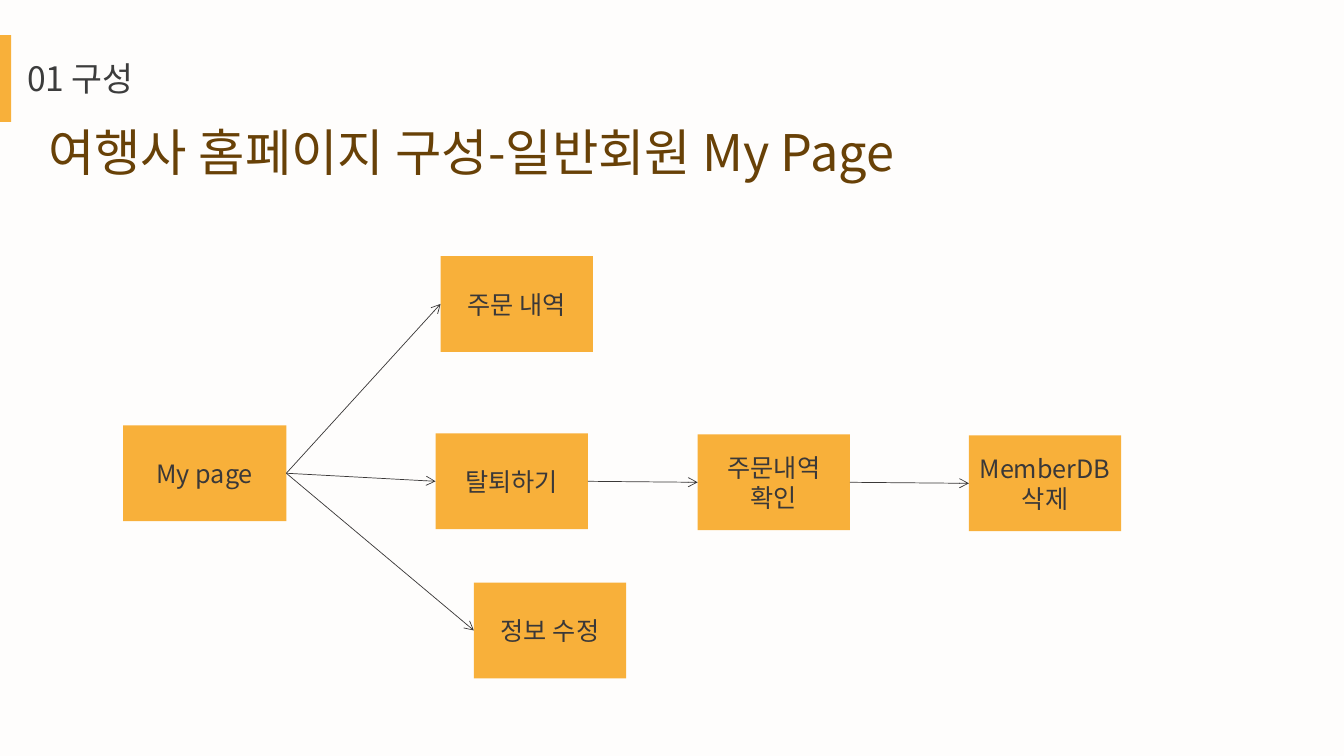
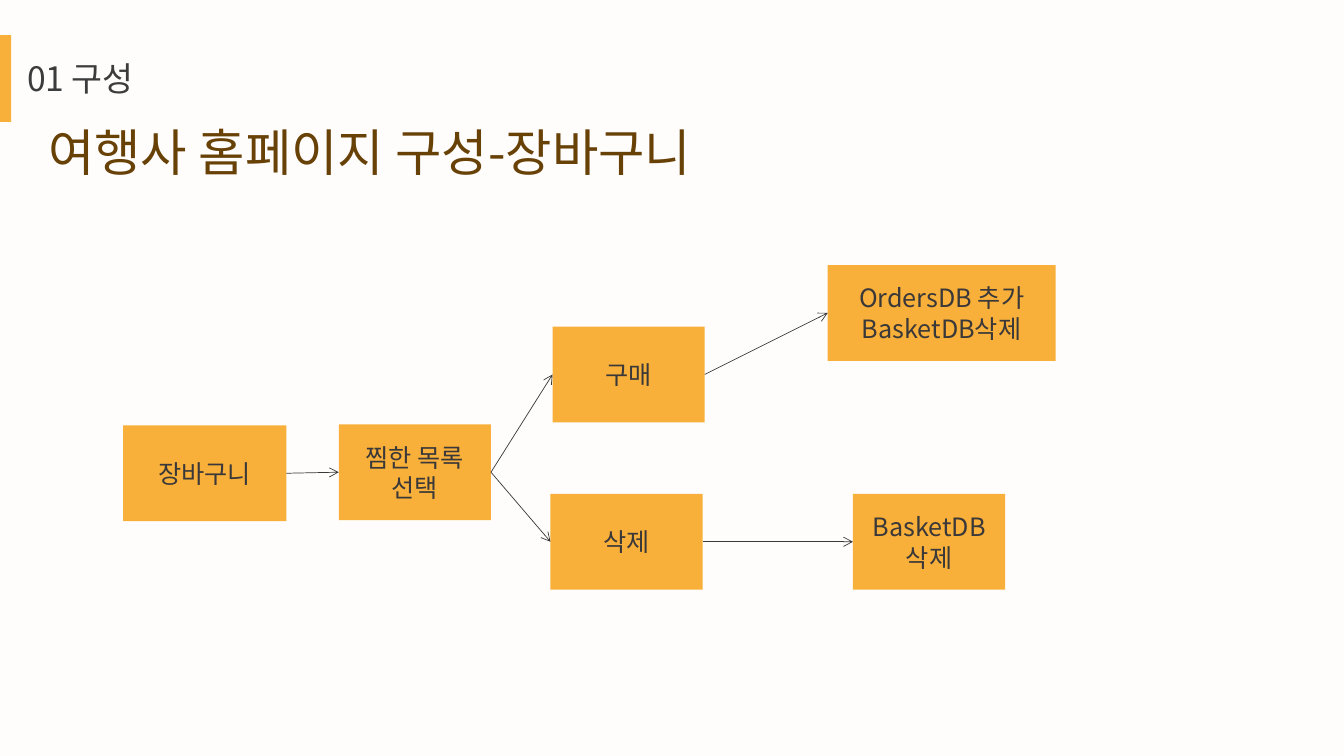
import pptx
import pptx.util
import pptx.dml.color
import pptx.enum.shapes
import pptx.enum.text
import pptx.oxml.ns
import lxml.etree

Inches = pptx.util.Inches
Pt = pptx.util.Pt
qn = pptx.oxml.ns.qn
ALIGN = pptx.enum.text.PP_ALIGN
RECT = pptx.enum.shapes.MSO_SHAPE.RECTANGLE
STRAIGHT = pptx.enum.shapes.MSO_CONNECTOR.STRAIGHT

FONT = "Noto Sans CJK KR"
PAPER, AMBER, BROWN = "FEFDFC", "F8B03A", "684107"
GREY, INK = "3C3C3C", "3A3838"
WIDE, HIGH = 1.51, 0.95
LEFT, RIGHT = 1, 3  # connection sites of a rectangle

# Each box: key, left, top, width, text. Each arrow: from key, to key.
PAGES = [
    {
        "title": "여행사 홈페이지 구성-일반회원 My Page",
        "width": 8.7,
        "boxes": [
            ("start", 1.22, 4.22, 1.62, "My page"),
            ("orders", 4.37, 2.54, WIDE, "주문 내역"),
            ("leave", 4.32, 4.3, WIDE, "탈퇴하기"),
            ("edit", 4.7, 5.78, WIDE, "정보 수정"),
            ("check", 6.92, 4.31, WIDE, "주문내역\n확인"),
            ("erase", 9.61, 4.32, WIDE, "MemberDB\n삭제"),
        ],
        "arrows": [("start", "leave"), ("start", "orders"), ("start", "edit"),
                   ("leave", "check"), ("check", "erase")],
    },
    {
        "title": "여행사 홈페이지 구성-장바구니",
        "width": 6.63,
        "boxes": [
            ("start", 1.22, 4.22, 1.62, "장바구니"),
            ("pick", 3.36, 4.21, WIDE, "찜한 목록\n선택"),
            ("buy", 5.48, 3.24, WIDE, "구매"),
            ("drop", 5.46, 4.9, WIDE, "삭제"),
            ("erase", 8.46, 4.9, WIDE, "BasketDB\n삭제"),
            ("add", 8.21, 2.63, 2.26, "OrdersDB 추가\nBasketDB삭제"),
        ],
        "arrows": [("pick", "buy"), ("pick", "drop"), ("start", "pick"),
                   ("buy", "add"), ("drop", "erase")],
    },
]


def paint(fill, color):
    fill.solid()
    fill.fore_color.rgb = pptx.dml.color.RGBColor.from_string(color)


def write(frame, text, size, color, align=ALIGN.LEFT):
    """Fill a text frame, one paragraph a line, in the deck's font."""
    frame.text = text
    for para in frame.paragraphs:
        para.alignment = align
        para.font.size = Pt(size)
        paint(para.font.fill, color)
        para.font.name = FONT
        props = para._p.pPr.find(qn("a:defRPr"))
        lxml.etree.SubElement(props, qn("a:ea"), typeface=FONT)


deck = pptx.Presentation()
deck.slide_width = Inches(13.33)
deck.slide_height = Inches(7.5)
paint(deck.slide_master.background.fill, PAPER)

for page in PAGES:
    slide = deck.slides.add_slide(deck.slide_layouts[6])
    shapes = slide.shapes

    heads = [
        (0.17, 0.53, 1.5, 0.5, "01 구성", 24, GREY),
        (0.38, 1.15, page["width"], 0.71, page["title"], 36, BROWN),
    ]
    for left, top, width, height, text, size, color in heads:
        head = shapes.add_textbox(Inches(left), Inches(top), Inches(width), Inches(height))
        head.text_frame.word_wrap = True
        write(head.text_frame, text, size, color)

    nodes = {}
    bar = ("bar", 0, 0.35, 0.11, "")
    for key, left, top, width, text in [bar] + page["boxes"]:
        height = HIGH if text else 0.86
        box = shapes.add_shape(RECT, Inches(left), Inches(top), Inches(width), Inches(height))
        box.shadow.inherit = False
        paint(box.fill, AMBER)
        box.line.fill.background()
        if text:
            box.text_frame.word_wrap = False
            box.text_frame.vertical_anchor = pptx.enum.text.MSO_ANCHOR.MIDDLE
            write(box.text_frame, text, 18, INK, ALIGN.CENTER)
        nodes[key] = box

    for start, end in page["arrows"]:
        arrow = shapes.add_connector(STRAIGHT, 0, 0, 0, 0)
        arrow.begin_connect(nodes[start], RIGHT)
        arrow.end_connect(nodes[end], LEFT)
        paint(arrow.line.fill, INK)
        arrow.line.width = Pt(0.5)
        props = arrow._element.spPr
        lxml.etree.SubElement(props.find(qn("a:ln")), qn("a:tailEnd"), type="arrow")
        lxml.etree.SubElement(props, qn("a:effectLst"))

deck.save("out.pptx")
